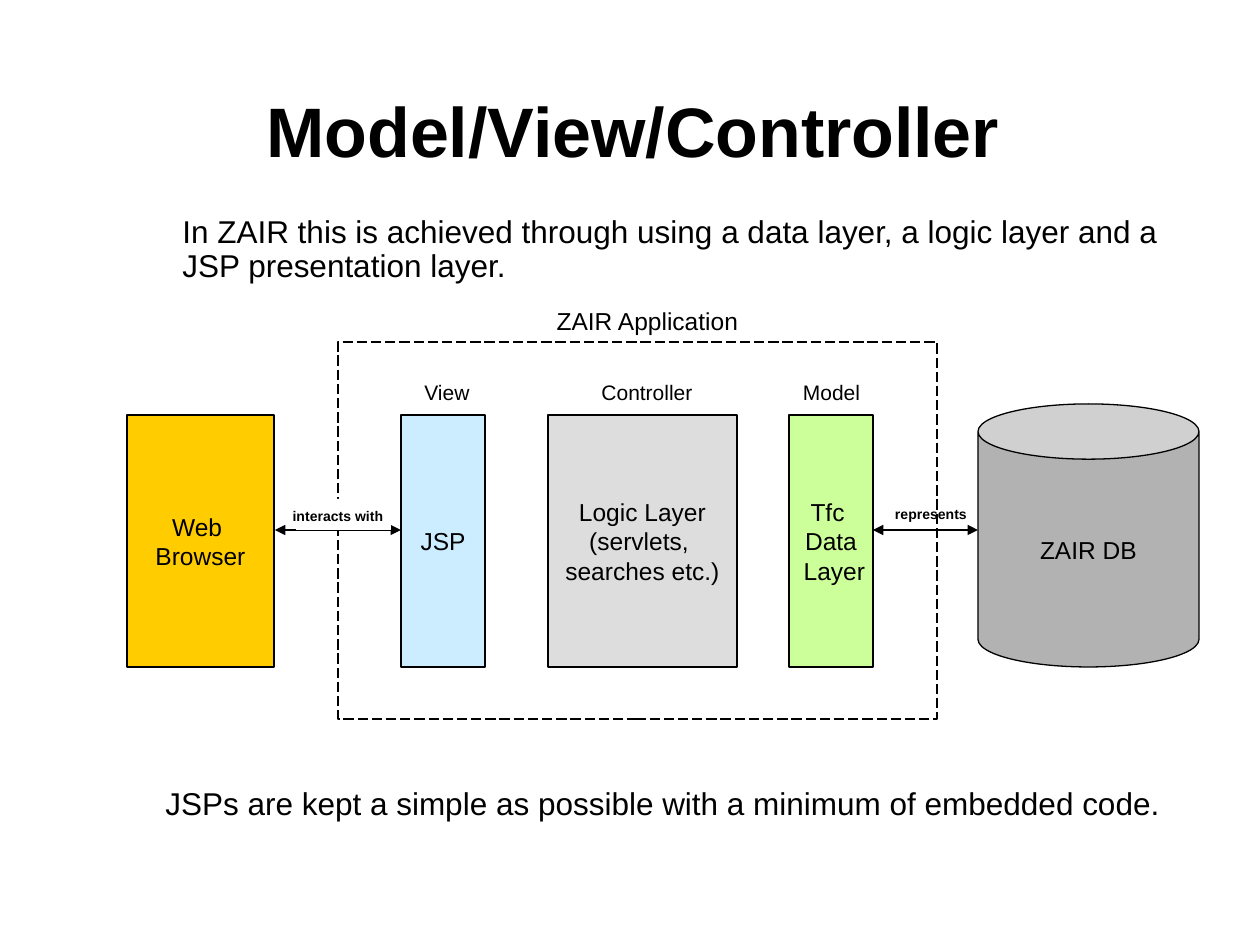
from lxml.etree import SubElement
from pptx import Presentation
from pptx.dml.color import RGBColor
from pptx.enum.dml import MSO_LINE
from pptx.enum.shapes import MSO_CONNECTOR, MSO_SHAPE
from pptx.enum.text import MSO_ANCHOR, MSO_AUTO_SIZE, PP_ALIGN
from pptx.oxml.ns import qn
from pptx.util import Emu, Pt


def px(*lengths):
    return [Emu(round(length * 914400 / 126)) for length in lengths]


def color(value):
    return RGBColor.from_string(value)


deck = Presentation()
deck.slide_width, deck.slide_height = px(1260, 945)
page = deck.slides.add_slide(deck.slide_layouts[5])

# Title
title = page.shapes.title
title.left, title.top, title.width, title.height = px(77, 102, 1112, 73)
frame = title.text_frame
frame.text = "Model/View/Controller"
frame.auto_size = MSO_AUTO_SIZE.NONE
frame.vertical_anchor = MSO_ANCHOR.MIDDLE
para = frame.paragraphs[0]
para.alignment = PP_ALIGN.CENTER
para.line_spacing = 0.75
para.font.name, para.font.size, para.font.bold = "Arial", Pt(40), True
para.font.color.rgb = color("000000")

# Application boundary
boundary = page.shapes.add_shape(MSO_SHAPE.RECTANGLE, *px(338, 342, 599, 377))
boundary.shadow.inherit = False
boundary.fill.background()
boundary.line.color.rgb = color("000000")
boundary.line.width = Pt(0.75)
boundary.line.dash_style = MSO_LINE.LONG_DASH

# Two-way arrows
for start, end in [(275, 401), (873, 978)]:
    arrow = page.shapes.add_connector(MSO_CONNECTOR.STRAIGHT, *px(start, 530, end, 530))
    arrow.line.color.rgb = color("000000")
    arrow.line.width = Pt(0.75)
    for tip in ("a:headEnd", "a:tailEnd"):
        SubElement(arrow.line._get_or_add_ln(), qn(tip), type="triangle")
    SubElement(arrow._element.spPr, qn("a:effectLst"))

# White patch that interrupts the boundary behind the arrow label
patch = page.shapes.add_shape(MSO_SHAPE.RECTANGLE, *px(296, 499, 95, 31))
patch.shadow.inherit = False
patch.fill.solid()
patch.fill.fore_color.rgb = color("FFFFFF")
patch.line.fill.background()

# Components: shape, left, top, width, height, fill, text
components = [
    (MSO_SHAPE.CAN, 978, 404, 221, 263, "B2B2B2", "ZAIR DB"),
    (MSO_SHAPE.RECTANGLE, 127, 415, 147, 252, "FFCC00", "Web \nBrowser"),
    (MSO_SHAPE.RECTANGLE, 401, 415, 84, 252, "CCECFF", "JSP"),
    (MSO_SHAPE.RECTANGLE, 548, 415, 189, 252, "DDDDDD",
     "Logic Layer\n(servlets, \nsearches etc.)"),
    (MSO_SHAPE.RECTANGLE, 789, 415, 84, 252, "CCFF99", "Tfc \nData\n Layer"),
]
for kind, left, top, width, height, fill, text in components:
    box = page.shapes.add_shape(kind, *px(left, top, width, height))
    box.shadow.inherit = False
    box.fill.solid()
    box.fill.fore_color.rgb = color(fill)
    box.line.color.rgb = color("000000")
    box.line.width = Pt(0.75)
    frame = box.text_frame
    frame.text = text
    frame.word_wrap = False
    frame.vertical_anchor = MSO_ANCHOR.MIDDLE
    for para in frame.paragraphs:
        para.alignment = PP_ALIGN.CENTER
        para.font.name, para.font.size = "Arial", Pt(14)
        para.font.color.rgb = color("000000")

# Labels and sentences: left, top, width, height, size, bold, alignment, spacing, text
texts = [
    (490, 300, 315, 43, 14, False, PP_ALIGN.CENTER, 1.0, "ZAIR Application"),
    (379, 373, 136, 38, 12, False, PP_ALIGN.CENTER, 1.0, "View"),
    (579, 373, 136, 38, 12, False, PP_ALIGN.CENTER, 1.0, "Controller"),
    (779, 373, 105, 38, 12, False, PP_ALIGN.CENTER, 1.0, "Model"),
    (275, 501, 126, 30, 8, True, PP_ALIGN.CENTER, 1.0, "interacts with"),
    (863, 499, 136, 30, 8, True, PP_ALIGN.CENTER, 1.0, "represents"),
    (170, 210, 1008, 81, 18, False, PP_ALIGN.LEFT, 0.9,
     "In ZAIR this is achieved through using a data layer, "
     "a logic layer and a JSP presentation layer."),
    (153, 782, 1035, 47, 18, False, PP_ALIGN.LEFT, 0.9,
     "JSPs are kept a simple as possible with a minimum of embedded code."),
]
for left, top, width, height, size, bold, alignment, spacing, text in texts:
    box = page.shapes.add_textbox(*px(left, top, width, height))
    frame = box.text_frame
    frame.word_wrap = True
    frame.text = text
    para = frame.paragraphs[0]
    para.alignment = alignment
    para.line_spacing = spacing
    para.font.name, para.font.size, para.font.bold = "Arial", Pt(size), bold
    para.font.color.rgb = color("000000")

deck.save("out.pptx")
